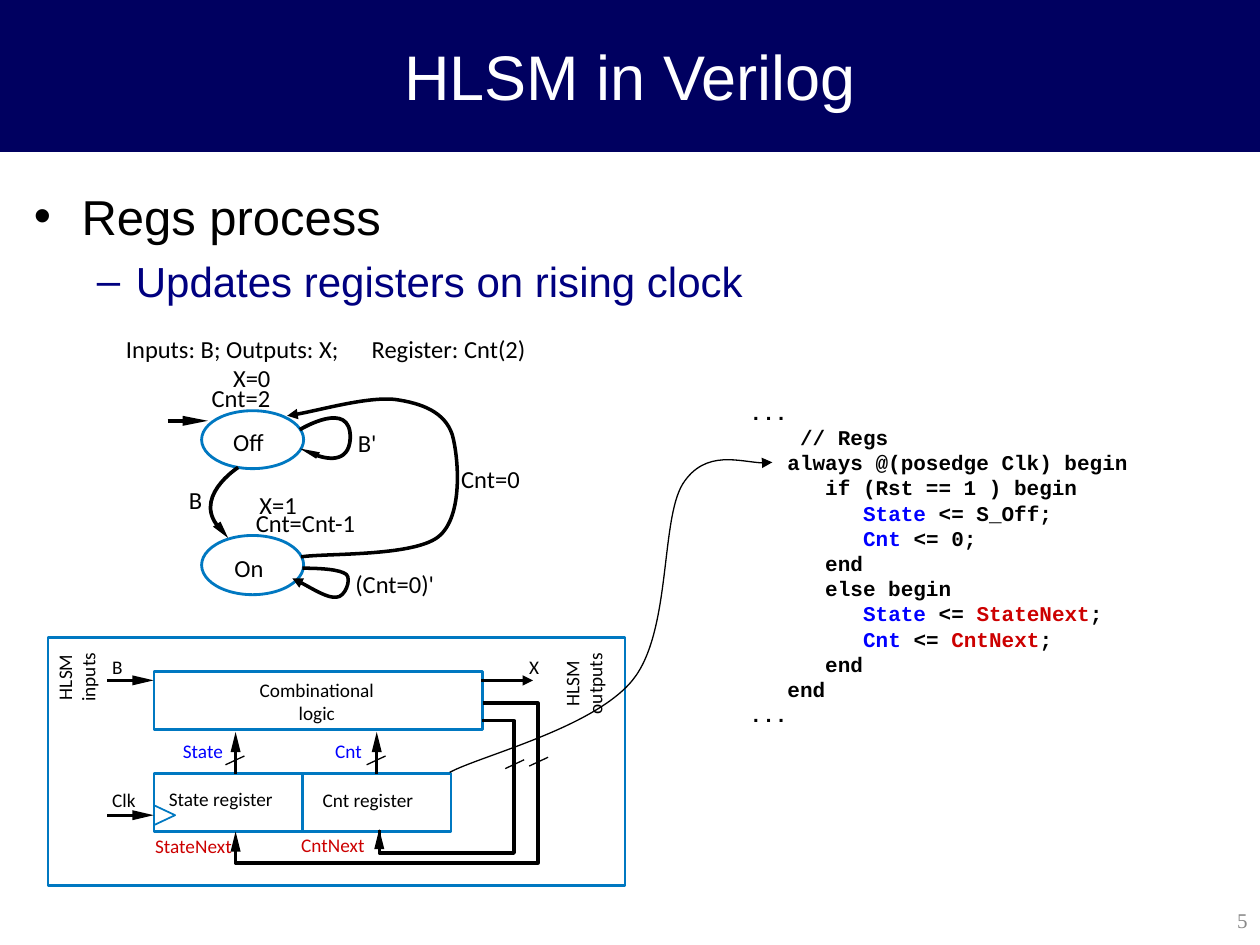
import pptx
import pptx.util
import pptx.dml.color
import pptx.enum.shapes
import pptx.enum.text
import pptx.oxml.ns
import lxml.etree

Inches = pptx.util.Inches
Pt = pptx.util.Pt
RGB = pptx.dml.color.RGBColor.from_string
Kind = pptx.enum.shapes.MSO_SHAPE
Align = pptx.enum.text.PP_ALIGN
Middle = pptx.enum.text.MSO_ANCHOR.MIDDLE
qn = pptx.oxml.ns.qn
hues = {"black": "000000", "white": "FFFFFF", "band": "000060", "navy": "000080",
        "blue": "0000FF", "red": "CC0000", "edge": "0078C1", "gray": "898989"}
sides = {"l": Align.LEFT, "c": Align.CENTER, "r": Align.RIGHT}

deck = pptx.Presentation()
deck.slide_width, deck.slide_height = Inches(10), Inches(7.5)
slide = deck.slides.add_slide(deck.slide_layouts[5])
shapes = slide.shapes


def write(text, at, shape=None, size=11, font="Calibri", hue="black", bold=False,
          align="l", wrap=False, inset=(0, 0), anchor=None, turn=0, fit=True):
    spot = [Inches(n) for n in at]
    shape = shape or shapes.add_textbox(*spot)
    shape.left, shape.top, shape.width, shape.height = spot
    shape.rotation = turn
    frame = shape.text_frame
    frame.word_wrap = wrap
    frame.margin_left = frame.margin_right = Inches(inset[0])
    frame.margin_top = frame.margin_bottom = Inches(inset[1])
    modes = pptx.enum.text.MSO_AUTO_SIZE
    frame.auto_size = modes.SHAPE_TO_FIT_TEXT if fit else modes.NONE
    if anchor is not None:
        frame.vertical_anchor = anchor
    lines = text.split("\n") if isinstance(text, str) else text
    for i, line in enumerate(lines):
        para = frame.add_paragraph() if i else frame.paragraphs[0]
        para.alignment = sides[align]
        for words, tint in [(line, hue)] if isinstance(line, str) else line:
            run = para.add_run()
            run.text = words
            run.font.size, run.font.name, run.font.bold = Pt(size), font, bold
            run.font.color.rgb = RGB(hues[tint])
    return shape


def trace(dots, hue="black", weight=0, curve=False, close=False, tip=False):
    dots = [(Inches(x), Inches(y)) for x, y in dots]
    pen = shapes.build_freeform(*dots[0])
    pen.add_line_segments(dots[1:], close=close)
    shape = pen.convert_to_shape()
    shape.shadow.inherit = False
    if weight:
        shape.fill.background()
        shape.line.color.rgb = RGB(hues[hue])
        shape.line.width = Pt(weight)
    else:
        shape.fill.solid()
        shape.fill.fore_color.rgb = RGB(hues[hue])
        shape.line.fill.background()
    if curve:
        legs = list(shape._element.iter(qn("a:lnTo")))
        for i in range(0, len(legs), 3):
            bend = lxml.etree.Element(qn("a:cubicBezTo"))
            legs[i].addprevious(bend)
            for leg in legs[i:i + 3]:
                bend.append(leg[0])
                leg.getparent().remove(leg)
    if tip:
        lxml.etree.SubElement(shape._element.spPr.find(qn("a:ln")), qn("a:tailEnd"), type="triangle")
    return shape


title = shapes.title
band = shapes.add_shape(Kind.RECTANGLE, 0, 0, Inches(10), Inches(1.2))
band.shadow.inherit = False
band.fill.solid()
band.fill.fore_color.rgb = band.line.color.rgb = RGB(hues["band"])
band.line.width = Pt(0.75)
title._element.addprevious(band._element)
write("HLSM in Verilog", (0, 0, 10, 1.2), shape=title, size=36, font="Arial",
      hue="white", align="c", wrap=True, anchor=Middle, fit=False)

body = write([[("Regs process", "black")], [("Updates registers on rising clock", "navy")]],
             (0.17, 1.38, 9.66, 5.72), size=28, font="Arial", wrap=True,
             inset=(0.1, 0.1), fit=False)
points = body.text_frame.paragraphs
points[1].level = 1
points[1].space_before = Pt(6)
points[1].runs[0].font.size = Pt(24)
for para, mark, left, hang, hue in zip(points, "•–", (0.38, 0.81), (0.38, 0.31), ("black", "navy")):
    props = para._p.get_or_add_pPr()
    props.set("marL", str(Inches(left)))
    props.set("indent", str(-Inches(hang)))
    tint = lxml.etree.SubElement(props, qn("a:buClr"))
    lxml.etree.SubElement(tint, qn("a:srgbClr"), val=hues[hue])
    lxml.etree.SubElement(props, qn("a:buFont"), typeface="Arial")
    lxml.etree.SubElement(props, qn("a:buChar"), char=mark)

write("5", (7.88, 7.1, 2.12, 0.4), size=12, font="Times New Roman", hue="gray",
      align="r", wrap=True, inset=(0.1, 0.05), anchor=Middle, fit=False)

pad = ("         ", "black")
state, count = ("State ", "blue"), ("Cnt ", "blue")
gets, end = ("<= ", "black"), (";", "black")
code = ["...",
        "    // Regs",
        "   always @(posedge Clk) begin",
        "      if (Rst == 1 ) begin",
        [pad, state, ("<= S_Off;", "black")],
        [pad, count, ("<= 0;", "black")],
        "      end",
        "      else begin",
        [pad, state, gets, ("StateNext", "red"), end],
        [pad, count, gets, ("CntNext", "red"), end],
        "      end",
        "   end",
        "..."]
write(code, (5.95, 3.17, 3.61, 2.6), size=12, font="Courier New", bold=True, wrap=True)

blocks = {}
for name, kind, at, weight in [
        ("frame", Kind.RECTANGLE, (0.38, 5.06, 4.58, 1.97), 1.39),
        ("logic", Kind.RECTANGLE, (1.22, 5.33, 2.61, 0.46), 1.39),
        ("state", Kind.RECTANGLE, (1.22, 6.14, 1.18, 0.46), 1.39),
        ("count", Kind.RECTANGLE, (2.4, 6.14, 1.18, 0.46), 1.39),
        ("off", Kind.OVAL, (1.6, 3.26, 0.81, 0.46), 1.62),
        ("on", Kind.OVAL, (1.6, 4.25, 0.81, 0.47), 1.62)]:
    block = blocks[name] = shapes.add_shape(kind, *[Inches(n) for n in at])
    block.shadow.inherit = False
    block.fill.background()
    block.line.color.rgb = RGB(hues["edge"])
    block.line.width = Pt(weight)

wires = [(0.85, 5.4, 1.09, 5.4, 1.87), (3.82, 5.4, 4.23, 5.4, 1.87),
         (0.85, 6.47, 1.09, 6.47, 1.87), (1.87, 6.14, 1.87, 5.94, 1.87),
         (2.99, 6.14, 2.99, 5.94, 1.87), (1.33, 3.34, 1.49, 3.34, 2.13)]
wires += [(x, y, x + 0.15, y - 0.07, 0.75)
          for x, y in [(1.79, 6.07), (2.91, 6.07), (4.01, 6.1), (4.2, 6.08)]]
for i, (x1, y1, x2, y2, weight) in enumerate(wires):
    wire = shapes.add_connector(pptx.enum.shapes.MSO_CONNECTOR.STRAIGHT,
                                Inches(x1), Inches(y1), Inches(x2), Inches(y2))
    wire.line.color.rgb = RGB(hues["black"])
    wire.line.width = Pt(weight)
    if i == 1:
        lxml.etree.SubElement(wire._element.spPr.find(qn("a:ln")), qn("a:tailEnd"), type="triangle")
    if i == 4:
        wire.begin_connect(blocks["count"], 0)
    lxml.etree.SubElement(wire._element.spPr, qn("a:effectLst"))

for x, y, size in [(1.22, 5.4, 0.17), (1.22, 6.47, 0.17), (1.65, 3.34, 0.2)]:
    trace([(x, y), (x - size, y - 0.04), (x - size, y + 0.04)], close=True)
for x, y in [(1.87, 5.81), (2.99, 5.81), (1.87, 6.6), (3.01, 6.58)]:
    trace([(x, y), (x - 0.04, y + 0.16), (x + 0.04, y + 0.16)], close=True)
trace([(1.81, 4.27), (1.75, 4.14), (1.69, 4.18)], close=True)
trace([(2.38, 3.56), (2.51, 3.64), (2.54, 3.59)], close=True)

trace([(1.22, 6.55), (1.39, 6.47), (1.22, 6.39)], hue="edge", weight=1)
trace([(1.87, 6.73), (1.87, 6.85), (4.27, 6.85), (4.27, 5.58), (3.83, 5.58)], weight=1.87)
trace([(3.01, 6.59), (3.01, 6.77), (4.08, 6.77), (4.08, 5.72), (3.83, 5.72)], weight=1.87)

for dots, weight, tip in [
        ([(3.57, 6.13), (3.81, 6), (4.71, 5.78), (5.02, 5.4), (5.33, 5.02), (5.24, 4.13),
          (5.42, 3.84), (5.6, 3.56), (5.98, 3.7), (6.13, 3.67)], 0.75, True),
        ([(2.48, 3.6), (2.59, 3.65), (2.77, 3.68), (2.78, 3.48), (2.79, 3.16),
          (2.38, 3.41), (2.38, 3.41)], 2.13, False),
        ([(1.89, 3.71), (1.89, 3.71), (1.5, 3.96), (1.76, 4.21)], 2.13, False),
        ([(2.4, 4.51), (2.55, 4.51), (2.7, 4.52), (2.75, 4.56), (2.79, 4.6), (2.74, 4.74),
          (2.67, 4.74), (2.6, 4.75), (2.39, 4.62), (2.32, 4.59)], 2, True),
        ([(2.39, 4.42), (2.57, 4.39), (3.28, 4.42), (3.48, 4.26), (3.68, 4.1), (3.64, 3.63),
          (3.59, 3.45), (3.53, 3.27), (3.35, 3.2), (3.13, 3.17), (2.91, 3.15),
          (2.45, 3.28), (2.28, 3.3)], 2, True)]:
    trace(dots, weight=weight, curve=True, tip=tip)

for text, x, y, width, hue, align in [
        ("State register", 1.34, 6.25, 0.97, "black", "l"),
        ("Cnt register", 2.56, 6.26, 0.85, "black", "l"),
        ("State", 1.4, 5.87, 0.37, "blue", "r"), ("Cnt", 2.66, 5.87, 0.25, "blue", "l"),
        ("StateNext", 1.13, 6.62, 0.71, "red", "r"), ("CntNext", 2.39, 6.61, 0.59, "red", "l"),
        ("X", 4.2, 5.2, 0.09, "black", "l"), ("B", 0.89, 5.2, 0.1, "black", "l"),
        ("Clk", 0.89, 6.26, 0.22, "black", "l")]:
    write(text, (x, y, width, 0.18), hue=hue, align=align)
write("Combinational\nlogic", (1.38, 5.38, 2.27, 0.37), align="c", wrap=True)
write("HLSM\ninputs", (0.38, 5.19, 0.45, 0.37), align="c", turn=270)
write("HLSM\noutputs", (4.35, 5.24, 0.56, 0.37), align="c", turn=270)

for text, x, y, width in [
        ("Inputs: B; Outputs: X;", 1, 2.65, 1.94), ("Register: Cnt(2)", 2.95, 2.65, 1.4),
        ("X=0", 1.85, 2.88, 0.34), ("Cnt=2", 1.68, 3.04, 0.54), ("Off", 1.85, 3.39, 0.29),
        ("B'", 2.84, 3.4, 0.17), ("Cnt=0", 3.66, 3.68, 0.54), ("B", 1.5, 3.85, 0.13),
        ("X=1", 2.06, 3.89, 0.34), ("Cnt=Cnt-1", 2.03, 4.03, 0.91), ("On", 1.86, 4.39, 0.27),
        ("(Cnt=0)'", 2.82, 4.52, 0.7)]:
    write(text, (x, y, width, 0.23), size=14)

deck.save("out.pptx")
